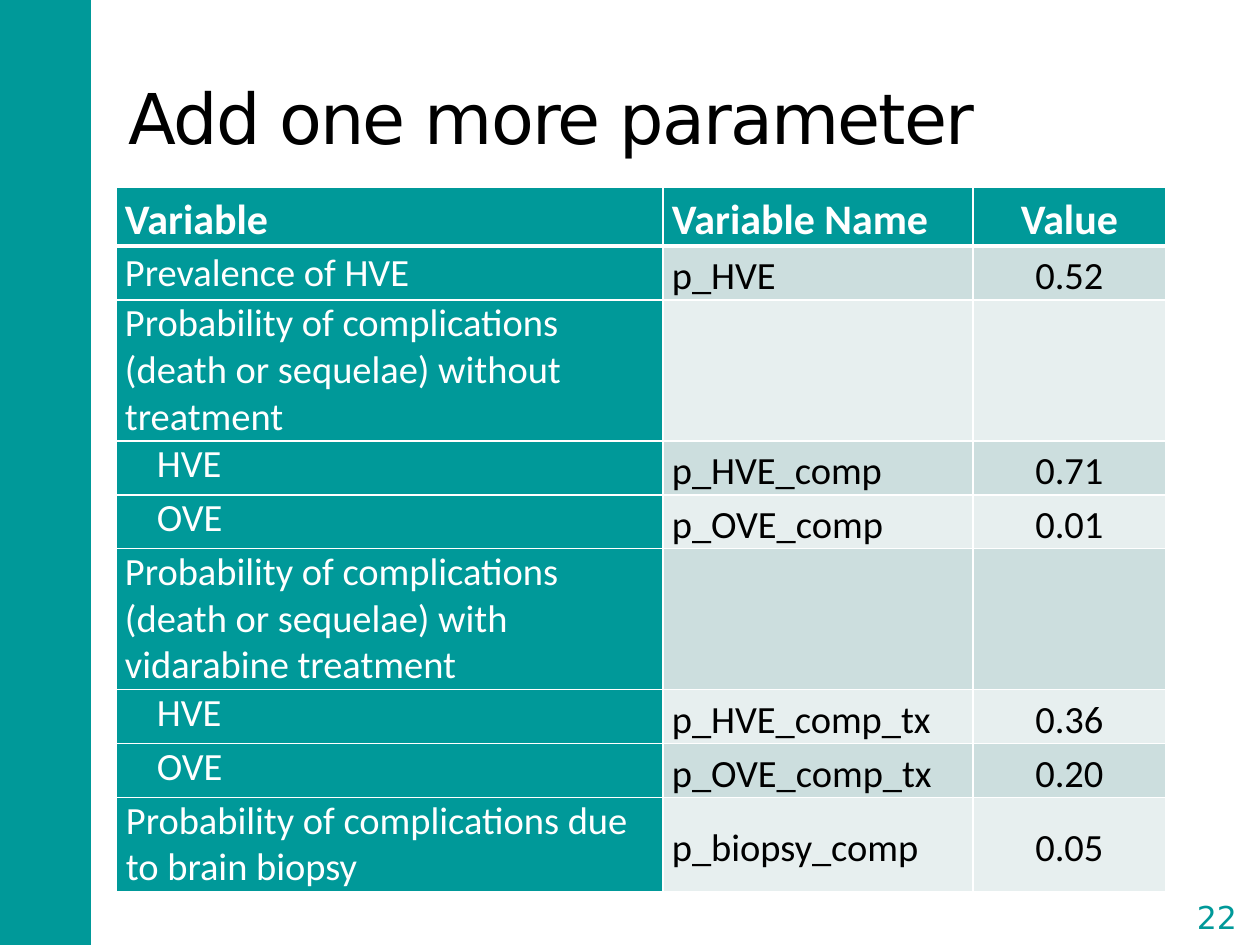
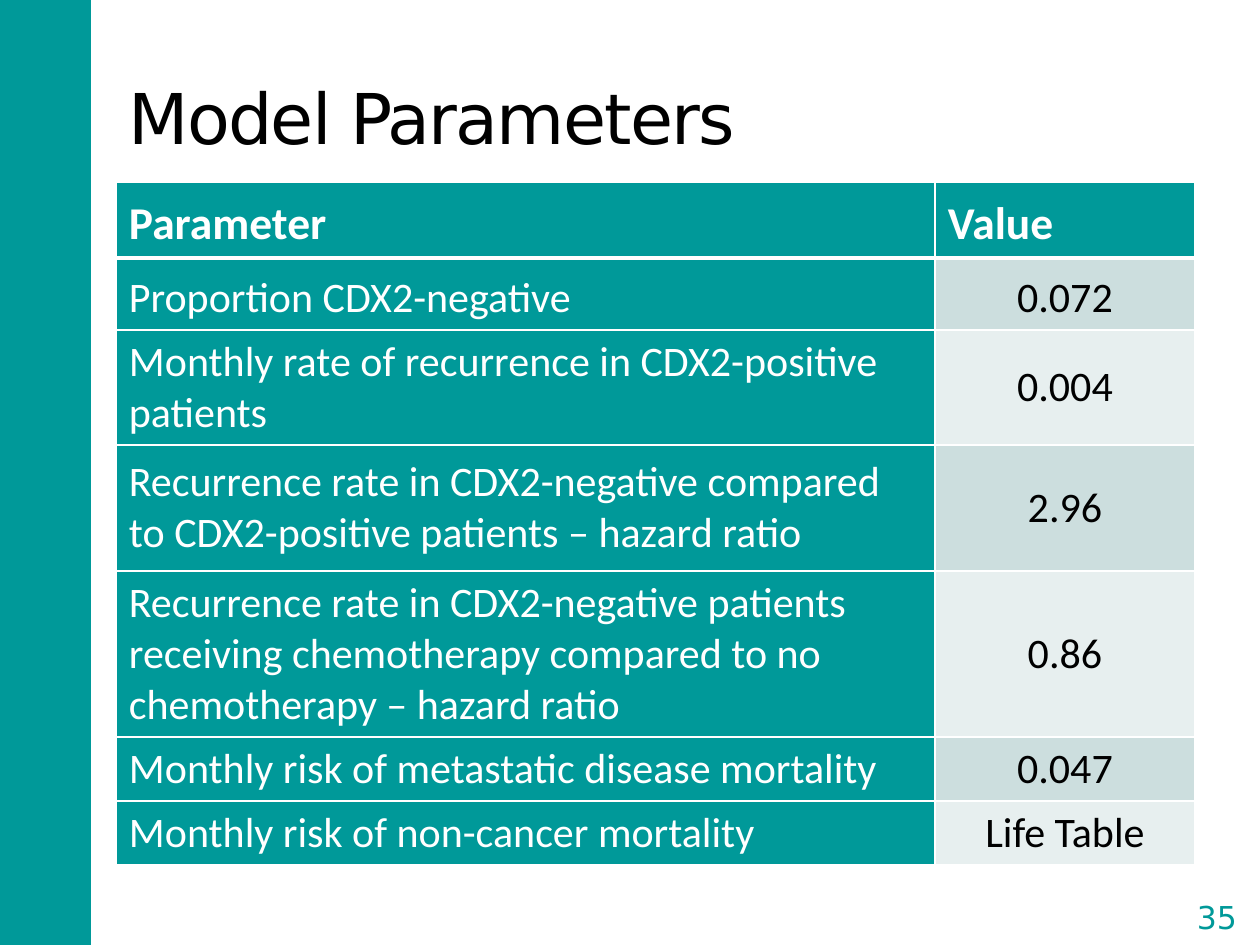
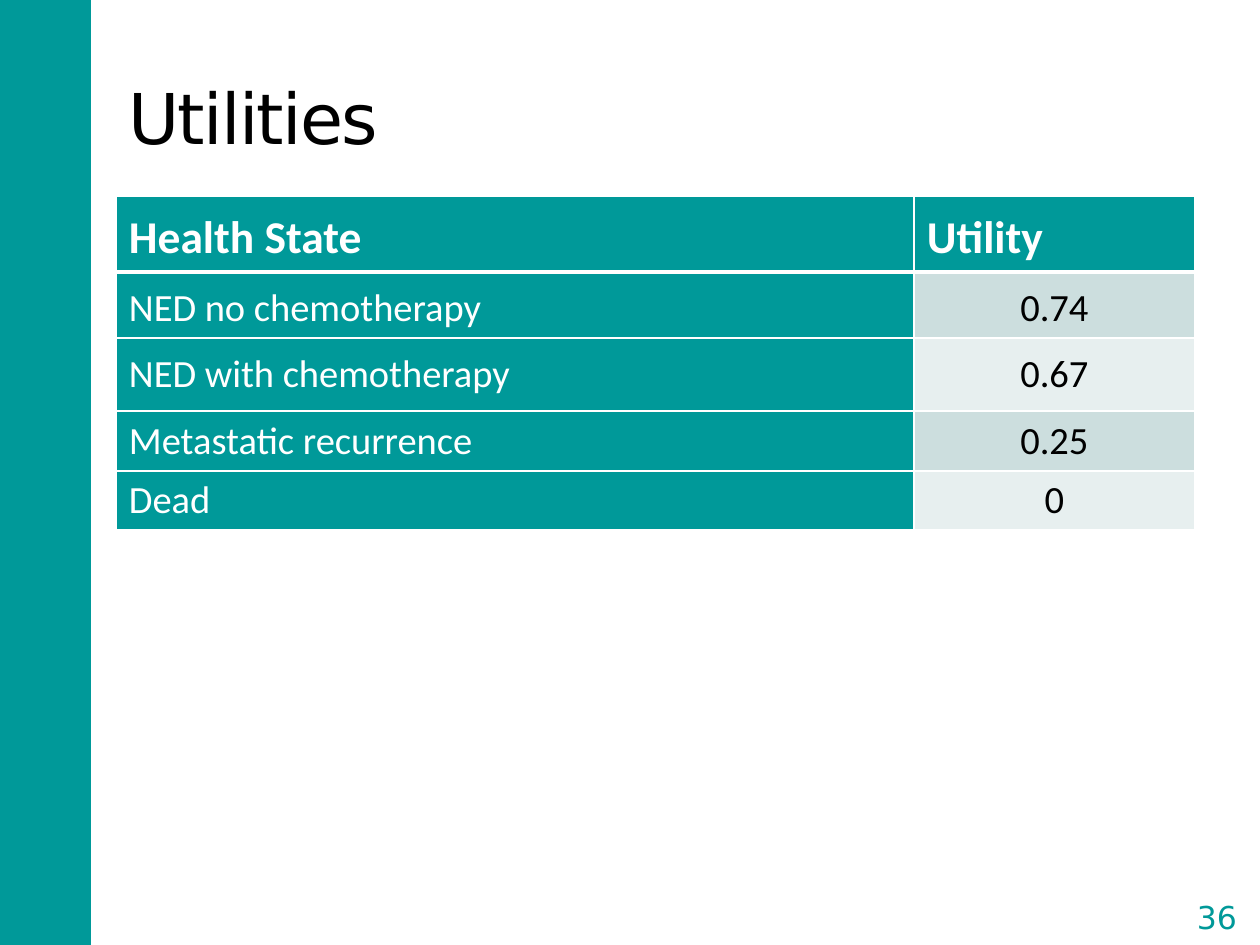
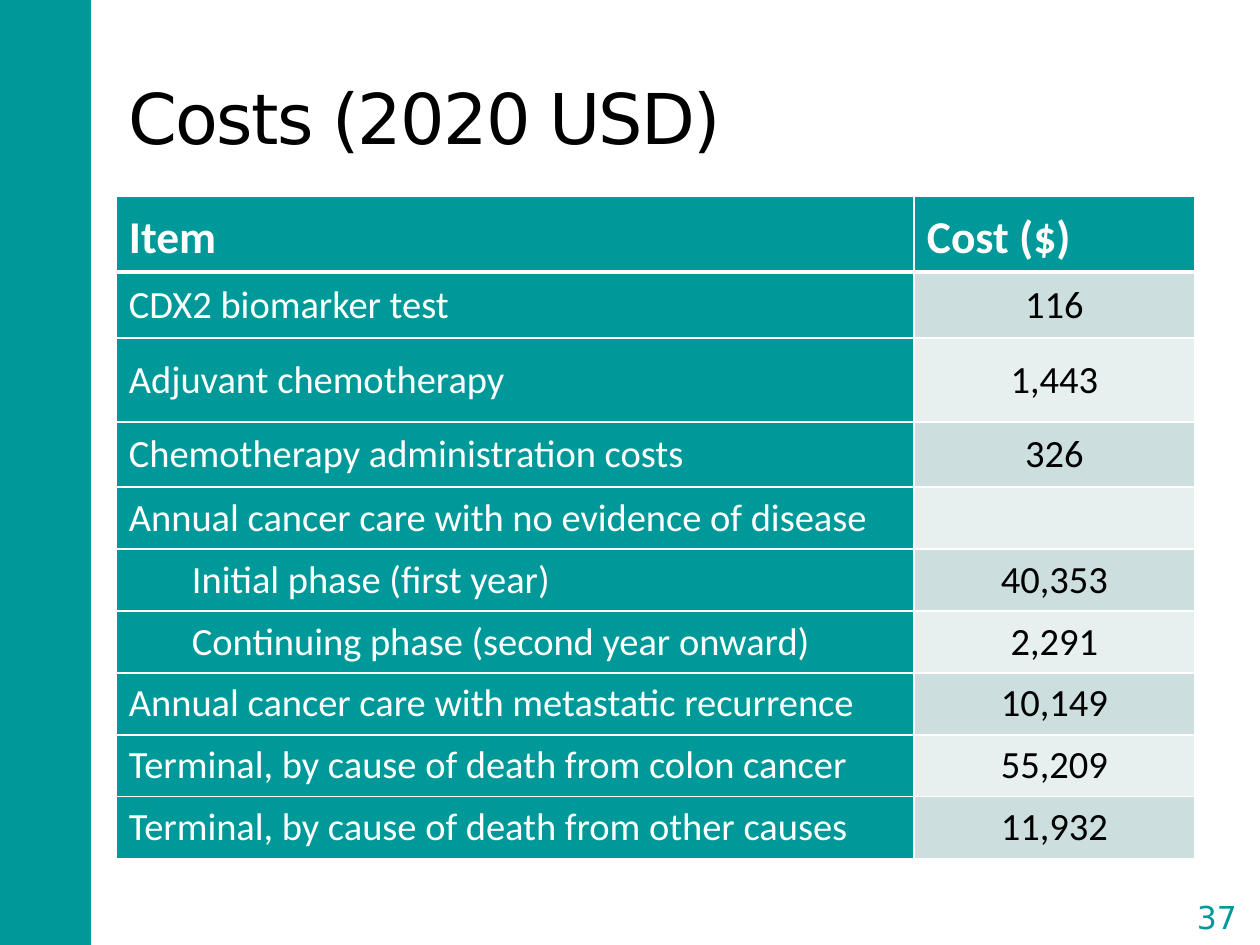
from lxml import etree
from pptx import Presentation
from pptx import util as u
from pptx.dml.color import RGBColor
from pptx.enum import shapes, text
from pptx.oxml import ns

PX = 914400 / 126
TEAL, WHITE, BLACK = "009999", "FFFFFF", "000000"
BANDS = ["CCDEDE", "E7EFEF"]
DISPLAY, BODY = "DejaVu Sans", "Calibri"
LEFT = 116

# Each row is (height, indent of the label, cell texts).
# "loose" is (last row, first column) of the body cells set at 1.15 lines.
SLIDES = [
    dict(
        title="Add one more parameter", number=22, top=187,
        columns=[547, 310, 193], margins=(9, 0), sizes=(24, 22),
        centred_header=2, centred_body=2, loose=(8, 1), top_labels=True,
        rows=[
            (58, 0, ["Variable", "Variable Name", "Value"]),
            (54, 0, ["Prevalence of HVE", "p_HVE", "0.52"]),
            (141, 0, ["Probability of complications (death or sequelae) without treatment", "", ""]),
            (53, 32, ["HVE", "p_HVE_comp", "0.71"]),
            (54, 32, ["OVE", "p_OVE_comp", "0.01"]),
            (141, 0, ["Probability of complications (death or sequelae) with vidarabine treatment", "", ""]),
            (53, 32, ["HVE", "p_HVE_comp_tx", "0.36"]),
            (54, 32, ["OVE", "p_OVE_comp_tx", "0.20"]),
            (94, 1, ["Probability of complications due to brain biopsy", "p_biopsy_comp", "0.05"]),
        ]),
    dict(
        title="Model Parameters", number=35, top=182,
        columns=[819, 260], margins=(13, 6), sizes=(26, 24),
        centred_header=2, centred_body=1, loose=(1, 0), top_labels=False,
        rows=[
            (76, 0, ["Parameter", "Value"]),
            (72, 0, ["Proportion CDX2-negative", "0.072"]),
            (115, 0, ["Monthly rate of recurrence in CDX2-positive patients", "0.004"]),
            (126, 0, ["Recurrence rate in CDX2-negative compared to CDX2-positive patients – hazard ratio", "2.96"]),
            (166, 0, ["Recurrence rate in CDX2-negative patients receiving chemotherapy compared to no "
                      "chemotherapy – hazard ratio", "0.86"]),
            (64, 0, ["Monthly risk of metastatic disease mortality", "0.047"]),
            (64, 0, ["Monthly risk of non-cancer mortality", "Life Table"]),
        ]),
    dict(
        title="Utilities", number=36, top=196,
        columns=[798, 281], margins=(13, 6), sizes=(26, 22),
        centred_header=2, centred_body=1, loose=(1, 0), top_labels=False,
        rows=[
            (76, 0, ["Health State", "Utility"]),
            (66, 0, ["NED no chemotherapy", "0.74"]),
            (73, 0, ["NED with chemotherapy", "0.67"]),
            (60, 0, ["Metastatic recurrence", "0.25"]),
            (59, 0, ["Dead", "0"]),
        ]),
    dict(
        title="Costs (2020 USD)", number=37, top=196,
        columns=[798, 281], margins=(13, 6), sizes=(26, 22),
        centred_header=2, centred_body=1, loose=(0, 0), top_labels=False,
        rows=[
            (76, 0, ["Item", "Cost ($)"]),
            (66, 0, ["CDX2 biomarker test", "116"]),
            (84, 0, ["Adjuvant chemotherapy", "1,443"]),
            (65, 0, ["Chemotherapy administration costs", "326"]),
            (62, 0, ["Annual cancer care with no evidence of disease", ""]),
            (62, 63, ["Initial phase (first year)", "40,353"]),
            (62, 63, ["Continuing phase (second year onward)", "2,291"]),
            (62, 0, ["Annual cancer care with metastatic recurrence", "10,149"]),
            (62, 0, ["Terminal, by cause of death from colon cancer", "55,209"]),
            (62, 0, ["Terminal, by cause of death from other causes", "11,932"]),
        ]),
]


def px(length):
    return u.Emu(round(length * PX))


def box(*lengths):
    return [px(length) for length in lengths]


def color(value):
    return RGBColor.from_string(value)


def fill(part, value):
    part.fill.solid()
    part.fill.fore_color.rgb = color(value)


def style(paragraph, font_name, size, value, centred=False, bold=False):
    paragraph.alignment = text.PP_ALIGN.CENTER if centred else text.PP_ALIGN.LEFT
    font = paragraph.font
    font.name, font.size, font.bold = font_name, u.Pt(size), bold
    font.color.rgb = color(value)


def add_borders(cell, row):
    """White rules, with a heavy one between the header and the body."""
    widths = dict(lnL=1, lnR=1, lnT=3 if row == 1 else 1, lnB=3 if row == 0 else 1)
    properties = cell._tc.get_or_add_tcPr()
    for place, (side, width) in enumerate(widths.items()):
        line = etree.Element(ns.qn("a:" + side), w=str(u.Pt(width)))
        solid = etree.SubElement(line, ns.qn("a:solidFill"))
        etree.SubElement(solid, ns.qn("a:srgbClr"), val=WHITE)
        properties.insert(place, line)


def add_side_band(prs, slide):
    """Put the teal band on the master, behind everything."""
    band = slide.shapes.add_shape(shapes.MSO_SHAPE.RECTANGLE, *box(-3, 0, 94, 945))
    band.shadow.inherit = False
    fill(band, TEAL)
    band.line.fill.background()
    prs.slide_master.shapes.element.insert(2, band.element)


def set_title(slide, wording):
    title = slide.shapes.title
    title.left, title.top, title.width, title.height = box(LEFT, 38, 1050, 158)
    frame = title.text_frame
    frame.text = wording
    frame.auto_size = text.MSO_AUTO_SIZE.NONE
    frame.vertical_anchor = text.MSO_ANCHOR.MIDDLE
    style(frame.paragraphs[0], DISPLAY, 40, BLACK)
    frame.paragraphs[0].runs[0]._r.get_or_add_rPr().set("spc", "-100")


def add_number(slide, number):
    bracket = slide.shapes.add_shape(shapes.MSO_SHAPE.DOUBLE_BRACKET, *box(1179, 890, 76, 54))
    bracket.adjustments[0] = 0.18
    bracket.shadow.inherit = False
    bracket.fill.background()
    bracket.line.color.rgb = color(WHITE)
    bracket.line.width = u.Pt(1.5)
    frame = bracket.text_frame
    frame.margin_left = frame.margin_right = frame.margin_top = frame.margin_bottom = 0
    frame.vertical_anchor = text.MSO_ANCHOR.MIDDLE
    frame.text = str(number)
    style(frame.paragraphs[0], DISPLAY, 18, TEAL, centred=True)


def fill_cell(cell, content, row, column, indent, wording):
    header, label = row == 0, column == 0
    fill(cell, TEAL if header or label else BANDS[(row - 1) % 2])
    add_borders(cell, row)
    side, end = content["margins"]
    cell.margin_left = cell.margin_right = px(side)
    cell.margin_top = cell.margin_bottom = px(end)
    at_top = content["top_labels"] and label and row > 1
    cell.vertical_anchor = text.MSO_ANCHOR.TOP if at_top else text.MSO_ANCHOR.MIDDLE
    if not wording:
        return
    cell.text = wording
    paragraph = cell.text_frame.paragraphs[0]
    if label and indent:
        paragraph._p.get_or_add_pPr().set("marL", str(px(indent)))
    last_row, first_column = content["loose"]
    if header or (row <= last_row and column >= first_column):
        paragraph.line_spacing = 1.15
    first_centred = content["centred_header" if header else "centred_body"]
    style(paragraph, BODY, content["sizes"][0 if header else 1],
          WHITE if header or label else BLACK, column >= first_centred, header)


def add_parameters(slide, content):
    rows, columns = content["rows"], content["columns"]
    height = sum(row[0] for row in rows)
    table = slide.shapes.add_table(
        len(rows), len(columns), *box(LEFT, content["top"], sum(columns), height)).table
    table.horz_banding = False
    for column, width in enumerate(columns):
        table.columns[column].width = px(width)
    for row, (row_height, indent, wordings) in enumerate(rows):
        table.rows[row].height = px(row_height)
        for column, wording in enumerate(wordings):
            fill_cell(table.cell(row, column), content, row, column, indent, wording)


def main():
    prs = Presentation()
    prs.slide_width, prs.slide_height = box(1260, 945)
    for content in SLIDES:
        slide = prs.slides.add_slide(prs.slide_layouts[5])
        if content is SLIDES[0]:
            add_side_band(prs, slide)
        set_title(slide, content["title"])
        add_number(slide, content["number"])
        add_parameters(slide, content)
    prs.save("out.pptx")


if __name__ == "__main__":
    main()
